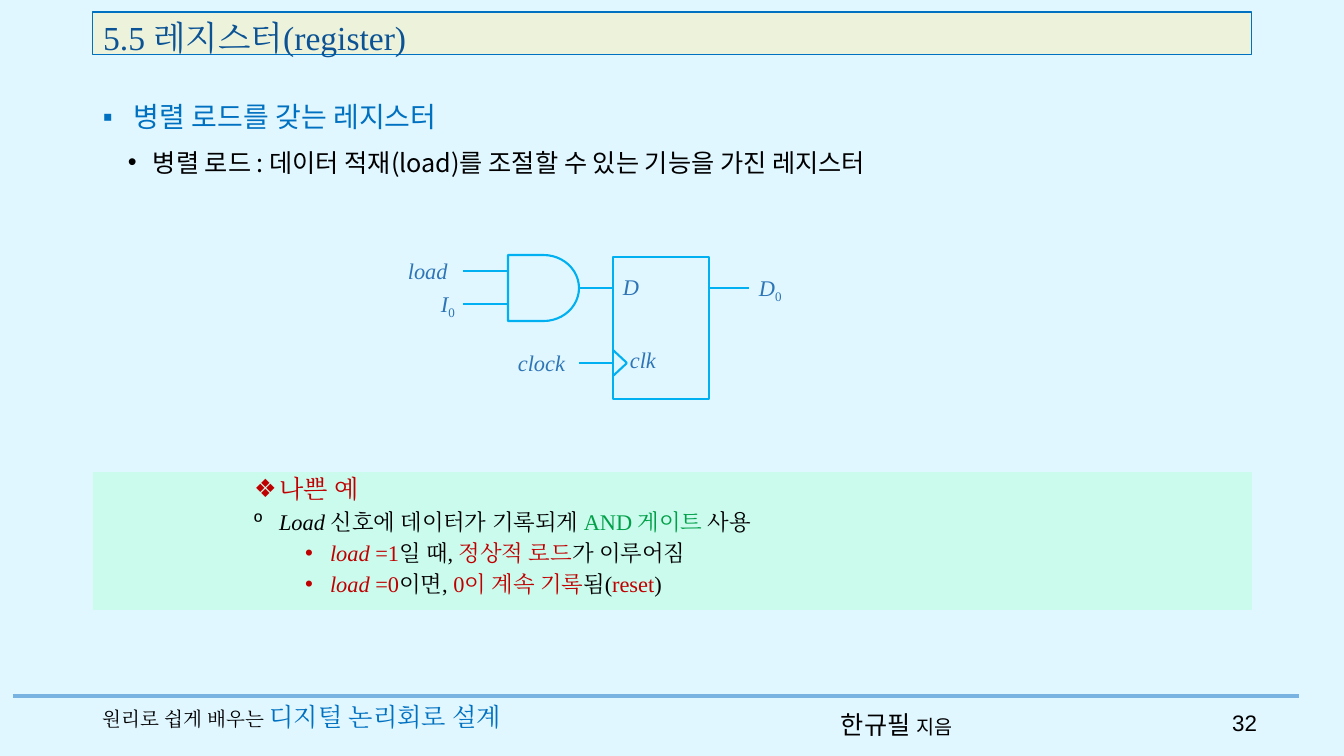
from pptx import Presentation
from pptx.dml.color import RGBColor
from pptx.enum.shapes import MSO_CONNECTOR as Conn, MSO_SHAPE as Kind
from pptx.enum.text import MSO_ANCHOR as Anchor, MSO_AUTO_SIZE as Auto, PP_ALIGN as Align
from pptx.oxml.ns import qn
from pptx.util import Pt
from lxml.etree import SubElement

PX = 914400 / 100.8
SERIF, SANS, ARIAL = "Times New Roman", "Noto Sans CJK KR", "Arial"
BACK, WIRE, INK = "E1F7FF", "00B0F0", "2E75B6"
BLACK, BLUE, RED, GREEN = "000000", "0070C0", "C00000", "00A048"

TITLE = [("5.5 레지스터(register)", BLUE and "0B5394", 24, SERIF)]
TITLE_BOX = (93, 12, 1159, 43)
BODY_BOX = (93, 472, 1159, 138)

BODY = [
    (3, "❖", 176, [("나쁜 예", RED, 18)]),
    (3, "º", 176, [("Load ", BLACK, 16, SERIF, True), ("신호에 데이터가 기록되게 ", BLACK),
                   ("AND 게이트 ", GREEN), ("사용", BLACK)]),
    (4, "•", 227, [("load ", RED, 16, SERIF, True), ("=1", RED), ("일 때, ", BLACK),
                   ("정상적 로드", RED), ("가 이루어짐", BLACK)]),
    (4, "•", 227, [("load ", RED, 16, SERIF, True), ("=0", RED), ("이면, ", BLACK),
                   ("0이 계속 기록", RED), ("됨(", BLACK), ("reset", RED), (")", BLACK)]),
]

HEADS = [
    ((93, 95, 1159, 44), 0, "▪", 31, 31, [("병렬 로드를 갖는 레지스터", BLUE, 20, SANS)]),
    ((93, 142, 1159, 40), 1, "•", 50, 25,
     [("병렬 로드 : 데이터 적재(load)를 조절할 수 있는 기능을 가진 레지스터", BLACK, 18, SANS)]),
]

FOOT = [
    ((831, 704, 154, 40), Align.LEFT, [("한규필 ", BLACK, 18, SANS), ("지음", BLACK, 14, SANS)]),
    ((1205, 704, 62, 40), Align.RIGHT, [("32", BLACK, 16, ARIAL)]),
    ((93, 696, 467, 40), Align.LEFT, [("원리로 쉽게 배우는 ", BLACK, 14), ("디지털 논리회로 설계", BLUE, 18)]),
]

FLIP = (613, 257, 96, 142)
GATE = (508, 255, 71, 66)
WIRES = [
    (708, 288, 749, 288), (553, 288, 613, 288), (579, 363, 613, 363),
    (613, 350, 627, 363), (613, 376, 627, 363),
    (463, 271, 513, 271), (463, 304, 513, 304),
]
LABELS = [
    ("D", "", 613, 268, 36), ("clk", "", 620, 341, 46), ("I", "0", 431, 285, 35),
    ("D", "0", 749, 269, 44), ("clock", "", 508, 344, 68), ("load", "", 398, 252, 60),
]


def px(n):
    return round(n * PX)


def rgb(code):
    return RGBColor.from_string(code)


def put(thing, vals):
    for key, val in vals.items():
        setattr(thing, key, val)


def place(shape, box):
    put(shape, dict(zip(("left", "top", "width", "height"), map(px, box))))


def write(para, runs):
    for text, color, size, face, slant in (r + (16, SERIF, False)[len(r) - 2:] for r in runs):
        run = para.add_run()
        run.text = text
        put(run.font, {"size": Pt(size), "name": face, "italic": slant, "bold": False})
        run.font.color.rgb = rgb(color)
        SubElement(run.font._element, qn("a:ea")).set("typeface", face)


def bullet(para, level, mark, left, hang):
    para.level = level
    props = para._p.get_or_add_pPr()
    props.set("marL", str(px(left)))
    props.set("indent", str(-px(hang)))
    SubElement(props, qn("a:buFont")).set("typeface", ARIAL)
    SubElement(props, qn("a:buChar")).set("char", mark)


def paint(shape, fill, line=None, width=1.5):
    shape.fill.solid()
    shape.fill.fore_color.rgb = rgb(fill)
    if line:
        shape.line.color.rgb = rgb(line)
        shape.line.width = Pt(width)
    else:
        shape.line.fill.background()


def text_box(slide, box, wrap=True):
    frame = slide.shapes.add_textbox(*map(px, box)).text_frame
    put(frame, {"word_wrap": wrap, "auto_size": Auto.NONE})
    return frame.paragraphs[0]


def wire(slide, ends, color=WIRE, width=1.5):
    line = slide.shapes.add_connector(Conn.STRAIGHT, *map(px, ends))
    line.line.color.rgb = rgb(color)
    line.line.width = Pt(width)
    SubElement(line._element.spPr, qn("a:effectLst"))


def block(slide, kind, box):
    shape = slide.shapes.add_shape(kind, *map(px, box))
    shape.shadow.inherit = False
    paint(shape, BACK, WIRE)


def main():
    deck = Presentation()
    put(deck, {"slide_width": px(1344), "slide_height": px(756)})
    slide = deck.slides.add_slide(deck.slide_layouts[1])
    slide.background.fill.solid()
    slide.background.fill.fore_color.rgb = rgb(BACK)

    wire(slide, (13, 696, 1299, 696), "78B3E2", 2.5)
    for box, align, runs in FOOT:
        para = text_box(slide, box)
        para.alignment = align
        write(para, runs)

    title, body = slide.shapes.title, slide.placeholders[1]
    for shape, box in ((title, TITLE_BOX), (body, BODY_BOX)):
        place(shape, box)
        put(shape.text_frame, {"word_wrap": True, "auto_size": Auto.NONE,
                               "vertical_anchor": Anchor.TOP})
    paint(title, "EDF3DB", BLUE, 0.75)
    paint(body, "CAFBED")
    head = title.text_frame.paragraphs[0]
    head.alignment = Align.LEFT
    write(head, TITLE)

    for i, (level, mark, left, runs) in enumerate(BODY):
        frame = body.text_frame
        para = frame.add_paragraph() if i else frame.paragraphs[0]
        bullet(para, level, mark, left, 25)
        put(para, {"line_spacing": 0.9, "space_before": Pt(5 if i else 0)})
        write(para, runs)

    for box, level, mark, left, hang, runs in HEADS:
        para = text_box(slide, box)
        bullet(para, level, mark, left, hang)
        write(para, runs)

    block(slide, Kind.RECTANGLE, FLIP)
    for ends in WIRES:
        wire(slide, ends)
    block(slide, Kind.FLOWCHART_DELAY, GATE)
    for name, sub, left, top, width in LABELS:
        para = text_box(slide, (left, top, width, 37), False)
        write(para, [(name, INK, 16, SERIF, True)])
        if sub:
            write(para, [(sub, INK)])
            para.runs[-1].font._element.set("baseline", "-25000")

    deck.save("out.pptx")


if __name__ == "__main__":
    main()
